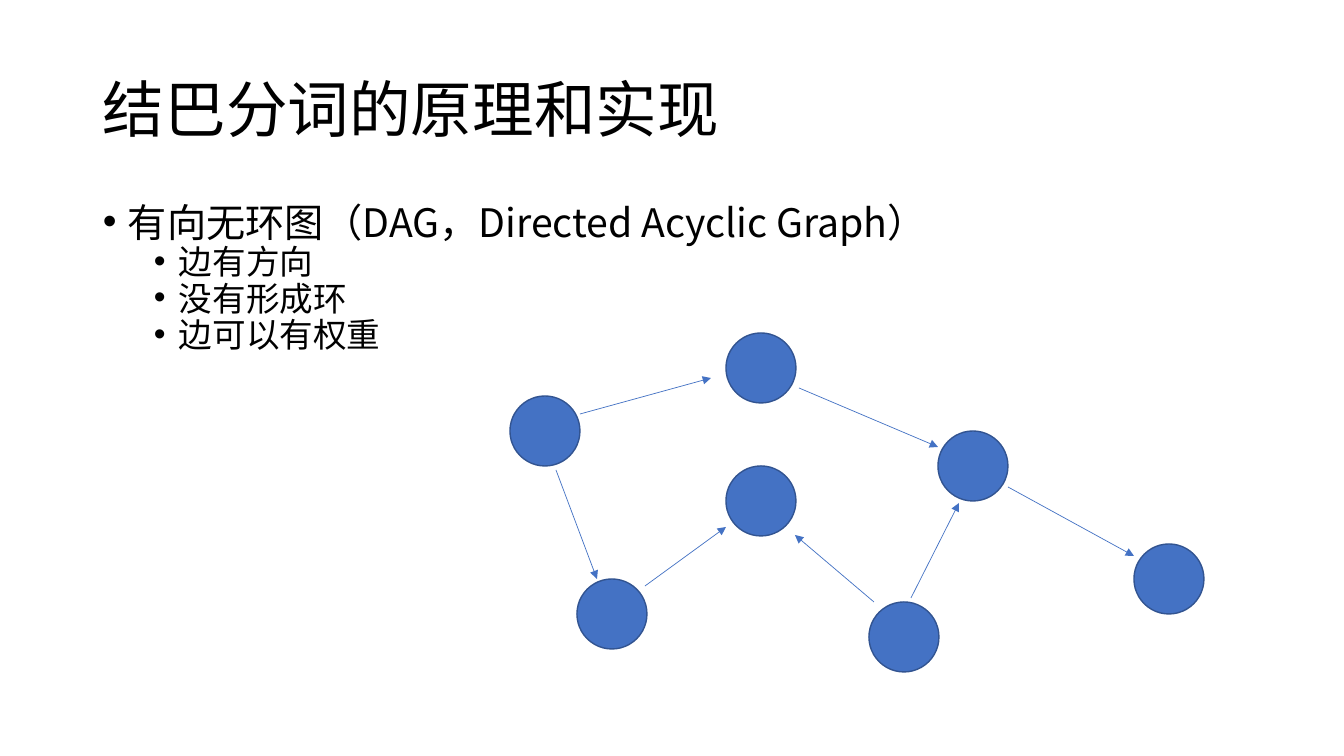
from lxml.etree import SubElement as Sub
from pptx import Presentation
from pptx.dml.color import RGBColor
from pptx.enum.shapes import MSO_CONNECTOR as Conn, MSO_SHAPE as Kind
from pptx.enum.text import MSO_ANCHOR as Anchor
from pptx.oxml.ns import qn
from pptx.util import Pt

BLACK = RGBColor(0, 0, 0)
BLUE = RGBColor(0x44, 0x72, 0xC4)
NAVY = RGBColor(0x32, 0x54, 0x91)
FACE = "Noto Sans CJK SC"
NODE = 70

TITLE = "结巴分词的原理和实现"
# text, size, indent, space before
POINTS = [
    ("有向无环图（DAG，Directed Acyclic Graph）", 28, 25, 0),
    ("边有方向", 24, 76, 3),
    ("没有形成环", 24, 76, 3),
    ("边可以有权重", 24, 76, 3),
]
NODES = [(726, 333), (510, 396), (726, 466), (938, 431),
         (577, 579), (869, 602), (1134, 544)]
EDGES = [
    (580, 414, 711, 378),
    (799, 388, 938, 447),
    (1008, 487, 1134, 556),
    (645, 586, 726, 527),
    (911, 598, 959, 503),
    (556, 470, 597, 579),
    (874, 602, 795, 535),
]


def px(num):
    """Turn px, at 100.8 to the inch, into EMU."""
    return round(num * 914400 / 100.8)


class Deck:
    def __init__(self, wide, high):
        self.prs = Presentation()
        self.prs.slide_width, self.prs.slide_height = px(wide), px(high)
        self.slide = self.prs.slides.add_slide(self.prs.slide_layouts[6])

    def box(self, left, top, wide, high, anchor=Anchor.TOP):
        area = map(px, (left, top, wide, high))
        frame = self.slide.shapes.add_textbox(*area).text_frame
        frame.word_wrap = True
        frame.vertical_anchor = anchor
        return frame

    def style(self, para, size, space):
        para.line_spacing = space
        font = para.font
        font.size, font.name = Pt(size), FACE
        font.color.rgb = BLACK
        props = para._p.pPr.find(qn("a:defRPr"))
        Sub(props, qn("a:ea")).set("typeface", FACE)

    def title(self, text, *area):
        para = self.box(*area, Anchor.MIDDLE).paragraphs[0]
        para.text = text
        self.style(para, 44, 0.9)

    def points(self, items, *area):
        frame = self.box(*area)
        for num, (text, size, indent, gap) in enumerate(items):
            para = frame.add_paragraph() if num else frame.paragraphs[0]
            para.text = text
            para.level = 1 if num else 0
            para.space_before = Pt(gap)
            props = para._p.get_or_add_pPr()
            props.set("marL", str(px(indent)))
            props.set("indent", str(px(-25)))
            Sub(props, qn("a:buFont")).set("typeface", "Arial")
            Sub(props, qn("a:buChar")).set("char", "•")
            self.style(para, size, 0.8)

    def node(self, left, top):
        area = map(px, (left, top, NODE, NODE))
        disc = self.slide.shapes.add_shape(Kind.OVAL, *area)
        disc.shadow.inherit = False
        disc.fill.solid()
        disc.fill.fore_color.rgb = BLUE
        disc.line.color.rgb = NAVY
        disc.line.width = Pt(1)

    def arrow(self, *ends):
        edge = self.slide.shapes.add_connector(Conn.STRAIGHT, *map(px, ends))
        edge.line.color.rgb = BLUE
        edge.line.width = Pt(0.5)
        props = edge._element.spPr
        Sub(props.find(qn("a:ln")), qn("a:tailEnd")).set("type", "triangle")
        Sub(props, qn("a:effectLst"))


def main():
    deck = Deck(1344, 756)
    deck.title(TITLE, 93, 40, 1159, 146)
    deck.points(POINTS, 93, 202, 1159, 480)
    for spot in NODES:
        deck.node(*spot)
    for ends in EDGES:
        deck.arrow(*ends)
    deck.prs.save("out.pptx")


if __name__ == "__main__":
    main()
